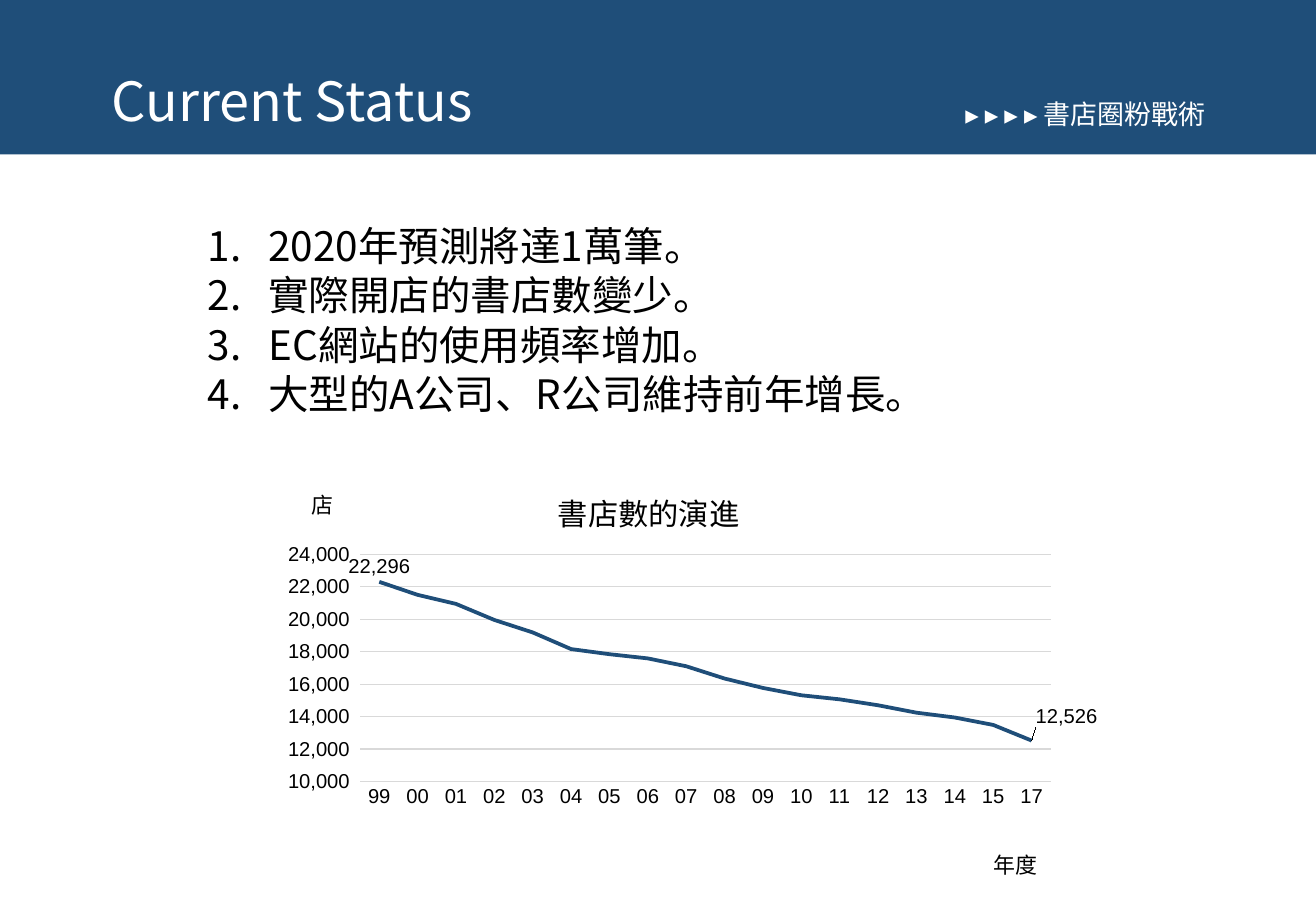
"""Build the bookstore status slide with a numbered list and a line chart."""
from dataclasses import dataclass

from lxml.etree import SubElement
from pptx import Presentation
from pptx.chart.data import CategoryChartData
from pptx.dml.color import RGBColor
from pptx.enum.chart import XL_CHART_TYPE, XL_LABEL_POSITION, XL_TICK_MARK
from pptx.enum.shapes import MSO_SHAPE
from pptx.enum.text import MSO_ANCHOR, MSO_AUTO_SIZE, PP_ALIGN
from pptx.oxml import parse_xml
from pptx.oxml.ns import nsdecls, qn
from pptx.util import Pt


@dataclass(frozen=True)
class Theme:
    navy: RGBColor = RGBColor(0x1F, 0x4E, 0x79)
    white: RGBColor = RGBColor(0xFF, 0xFF, 0xFF)
    black: RGBColor = RGBColor(0, 0, 0)
    grey: RGBColor = RGBColor(0xD9, 0xD9, 0xD9)
    face: str = "Noto Sans CJK SC"
    plain: str = "Arial"
    title: int = 32
    body: int = 24
    head: int = 18
    tag: int = 16
    unit: int = 13
    tick: int = 12
    lead: float = 1.22


theme = Theme()


def write(frame, text, size, color=theme.black, align=None, lead=None, number=False):
    for i, line in enumerate(text.split("\n")):
        para = frame.paragraphs[0] if i == 0 else frame.add_paragraph()
        if align is not None:
            para.alignment = align
        if lead:
            para.line_spacing = Pt(round(size * lead, 2))
            para.space_before = Pt(0)
        if number:
            props = para._p.get_or_add_pPr()
            props.set("marL", str(Pt(36)))
            props.set("indent", str(Pt(-36)))
            SubElement(props, qn("a:buFont"), typeface="+mj-lt")
            SubElement(props, qn("a:buAutoNum"), type="arabicPeriod")
        run = para.add_run()
        run.text = line
        font = run.font
        font.size, font.name, font.bold = Pt(size), theme.face, False
        font.color.rgb = color
        SubElement(run._r.get_or_add_rPr(), qn("a:ea"), typeface=theme.face)


def place(node, index, **spots):
    old = node.find(qn("c:layout"))
    if old is not None:
        node.remove(old)
    tags = "".join(f'<c:{tag} val="{val}"/>' for tag, val in spots.items())
    node.insert(index, parse_xml(
        f'<c:layout {nsdecls("c")}><c:manualLayout>{tags}</c:manualLayout></c:layout>'))


deck = Presentation()
deck.slide_width, deck.slide_height = Pt(780), Pt(540)
slide = deck.slides.add_slide(deck.slide_layouts[5])
shapes = slide.shapes

band = shapes.add_shape(MSO_SHAPE.RECTANGLE, Pt(0), Pt(0), Pt(780), Pt(91.5))
band.shadow.inherit = False
band.fill.solid()
band.fill.fore_color.rgb = theme.navy
band.line.fill.background()

title = shapes.title
title.element.getparent().append(title.element)
title.left, title.top, title.width, title.height = Pt(59), Pt(36), Pt(250), Pt(46)
title.text_frame.auto_size = MSO_AUTO_SIZE.NONE
title.text_frame.vertical_anchor = MSO_ANCHOR.TOP
write(title.text_frame, "Current Status", theme.title, theme.white,
      align=PP_ALIGN.LEFT, lead=theme.lead)

tag = shapes.add_textbox(Pt(471.5), Pt(54), Pt(250), Pt(26.5)).text_frame
tag.word_wrap = True
write(tag, "▸ ▸ ▸ ▸ 書店圈粉戰術", theme.tag, theme.white,
      align=PP_ALIGN.RIGHT, lead=theme.lead)

points = """2020年預測將達1萬筆。
實際開店的書店數變少。
EC網站的使用頻率增加。
大型的A公司、R公司維持前年增長。"""
body = shapes.add_textbox(Pt(116), Pt(127), Pt(548.5), Pt(124)).text_frame
body.word_wrap = True
write(body, points, theme.body, lead=theme.lead, number=True)

data = CategoryChartData(number_format="#,##0")
data.categories = ["99"] + [f"{year:02d}" for year in range(16)] + ["17"]
stores = (22296, 21495, 20939, 19946, 19179, 18156, 17839, 17582, 17098,
          16342, 15765, 15314, 15061, 14696, 14241, 13943, 13488, 12526)
data.add_series("Series 1", stores)
chart = shapes.add_chart(XL_CHART_TYPE.LINE, Pt(130.5), Pt(270), Pt(520),
                         Pt(255.5), data).chart
chart.has_legend = False
chart.font.name, chart.font.size = theme.plain, Pt(theme.tick)
chart.font.color.rgb = theme.black
chart.plots[0].vary_by_categories = False
place(chart.element.find(".//" + qn("c:plotArea")), 0, layoutTarget="inner",
      xMode="edge", yMode="edge", x=0.16, y=0.23, w=0.79, h=0.53)

years, count = chart.category_axis, chart.value_axis
for axis in (years, count):
    axis.major_tick_mark = axis.minor_tick_mark = XL_TICK_MARK.NONE
    axis.tick_labels.font.size = Pt(theme.tick)
    axis.tick_labels.font.name = theme.plain
    axis.tick_labels.font.color.rgb = theme.black
count.minimum_scale, count.maximum_scale, count.major_unit = 10000, 24000, 2000
count.tick_labels.number_format = "#,##0_ "
count.tick_labels.number_format_is_linked = False
count.format.line.fill.background()
for rule in (years.format.line, count.major_gridlines.format.line):
    rule.color.rgb, rule.width = theme.grey, Pt(0.75)

for head, text, size, x, y in (
    (chart.chart_title, "書店數的演進", theme.head, 0.38, 0.06),
    (years.axis_title, "年度", theme.unit, 0.88, 0.9),
    (count.axis_title, "店", theme.unit, 0.1, 0.06),
):
    write(head.text_frame, text, size)
    head.element.find(".//" + qn("a:bodyPr")).set("rot", "0")
    place(head.element, 1, xMode="edge", yMode="edge", x=x, y=y)

trend = chart.plots[0].series[0]
trend.smooth = False
trend.format.line.color.rgb, trend.format.line.width = theme.navy, Pt(2.25)
for spot in (0, len(stores) - 1):
    label = trend.points[spot].data_label
    label.font.size, label.font.name = Pt(theme.tick), theme.plain
    label.font.color.rgb = theme.black
    label.position = XL_LABEL_POSITION.ABOVE
last = chart.element.findall(".//" + qn("c:dLbl"))[-1]
place(last, 1, x=0.04, y=-0.02)

deck.save("out.pptx")
